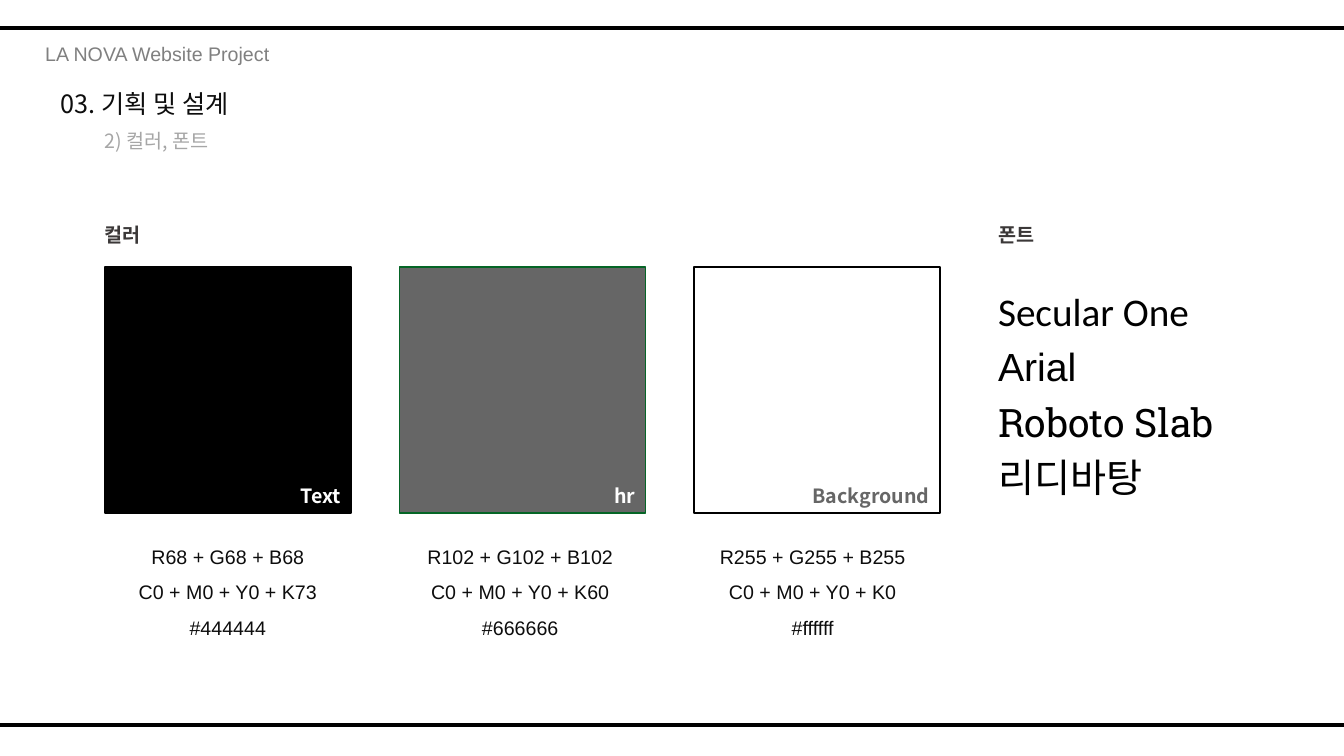
from dataclasses import dataclass
from lxml.etree import SubElement
from pptx import Presentation
from pptx.dml.color import RGBColor
from pptx.enum.shapes import MSO_CONNECTOR as Link, MSO_SHAPE as Form
from pptx.enum.text import MSO_ANCHOR as Anchor, MSO_AUTO_SIZE as Fit, PP_ALIGN as Align
from pptx.oxml.ns import qn
from pptx.util import Inches, Pt

PROJECT = "LA NOVA Website Project"
TITLE = "03. 기획 및 설계"
SUBTITLE = "2) 컬러, 폰트"
HEADS = ("컬러", "폰트")
# label, label colour, fill, border, border width, values
SWATCHES = [
    ("Text", "FFFFFF", "000000", "000000", 1,
     ["R68 + G68 + B68", "C0 + M0 + Y0 + K73", "#444444"]),
    ("hr", "FFFFFF", "666666", "056526", 1,
     ["R102 + G102 + B102", "C0 + M0 + Y0 + K60", "#666666"]),
    ("Background", "666666", "FFFFFF", "000000", 1.5,
     ["R255 + G255 + B255", "C0 + M0 + Y0 + K0", "#ffffff"]),
]
# specimen, font it is set in
FONTS = [
    ("Secular One", "Calibri"),
    ("Arial", "Arial"),
    ("Roboto Slab", "Roboto Slab"),
    ("리디바탕", "Noto Sans CJK KR"),
]


@dataclass(frozen=True)
class Theme:
    latin: str = "Arial"
    korean: str = "Noto Sans CJK KR"
    black: str = "000000"
    ink: str = "0D0D0D"
    head: str = "3B3838"
    grey: str = "808080"
    pale: str = "A6A6A6"
    small: int = 14
    title: int = 18
    large: int = 28
    rule: int = 3


T = Theme()
WIDE, HIGH = 13.33, 7.5
RULES = (0.28, 7.19)
LEFT, TOP, SIDE = 1.04, 2.65, 2.44
STEP, NOTE_STEP = 2.92, 2.9
TEXT_X, FONT_X = 0.94, 9.8
HEAD_Y, NOTE_Y = 2.16, 5.24
FONT_Y, FONT_STEP = 2.8, 0.55
ROW, TEXT_W = 0.34, 4.87


def place(x, y, w, h):
    return [Inches(v) for v in (x, y, w, h)]


def write(shape, lines, font, size, color, bold=False, align=Align.LEFT, space=None):
    frame = shape.text_frame
    frame.word_wrap = True
    frame.auto_size = Fit.NONE
    frame.vertical_anchor = Anchor.TOP
    for i, line in enumerate(lines):
        para = frame.add_paragraph() if i else frame.paragraphs[0]
        para.alignment = align
        if space:
            para.line_spacing = space
        run = para.add_run()
        run.text = line
        run.font.name = font
        run.font.size = Pt(size)
        run.font.bold = bold
        run.font.color.rgb = RGBColor.from_string(color)
        SubElement(run.font._element, qn("a:ea"), typeface=font)


def label(slide, box, lines, *style, **more):
    write(slide.shapes.add_textbox(*place(*box)), lines, *style, **more)


def rule(slide, y):
    line = slide.shapes.add_connector(
        Link.STRAIGHT, 0, Inches(y), Inches(WIDE), Inches(y))
    line.line.color.rgb = RGBColor.from_string(T.black)
    line.line.width = Pt(T.rule)
    SubElement(line._element.spPr, qn("a:effectLst"))


def swatch(slide, i, name, tone, fill, edge, width, values):
    x = LEFT + i * STEP
    tile = slide.shapes.add_shape(Form.RECTANGLE, *place(x, TOP, SIDE, SIDE))
    tile.shadow.inherit = False
    tile.fill.solid()
    tile.fill.fore_color.rgb = RGBColor.from_string(fill)
    tile.line.color.rgb = RGBColor.from_string(edge)
    tile.line.width = Pt(width)
    label(slide, (x, TOP + SIDE - ROW, SIDE, ROW), [name],
          T.korean, T.small, tone, bold=True, align=Align.RIGHT)
    label(slide, (LEFT + i * NOTE_STEP, NOTE_Y, SIDE, 1.16), values,
          T.latin, T.small, T.ink, align=Align.CENTER, space=1.5)


def main():
    deck = Presentation()
    deck.slide_width, deck.slide_height = Inches(WIDE), Inches(HIGH)
    slide = deck.slides.add_slide(deck.slide_layouts.get_by_name("Title Only"))
    for y in RULES:
        rule(slide, y)

    title = slide.shapes.title
    title.left, title.top, title.width, title.height = place(0.5, 0.83, TEXT_W, 0.4)
    write(title, [TITLE], T.korean, T.title, T.ink)
    label(slide, (0.35, 0.37, TEXT_W, ROW), [PROJECT], T.latin, T.small, T.grey)
    label(slide, (TEXT_X, 1.23, TEXT_W, ROW), [SUBTITLE], T.korean, T.small, T.pale)

    for x, head in zip((TEXT_X, FONT_X), HEADS):
        label(slide, (x, HEAD_Y, 2.28, ROW), [head],
              T.korean, T.small, T.head, bold=True)
    for i, item in enumerate(SWATCHES):
        swatch(slide, i, *item)
    for i, (name, font) in enumerate(FONTS):
        label(slide, (FONT_X, FONT_Y + i * FONT_STEP, 2.78, 0.57), [name],
              font, T.large, T.black)
    deck.save("out.pptx")


if __name__ == "__main__":
    main()
